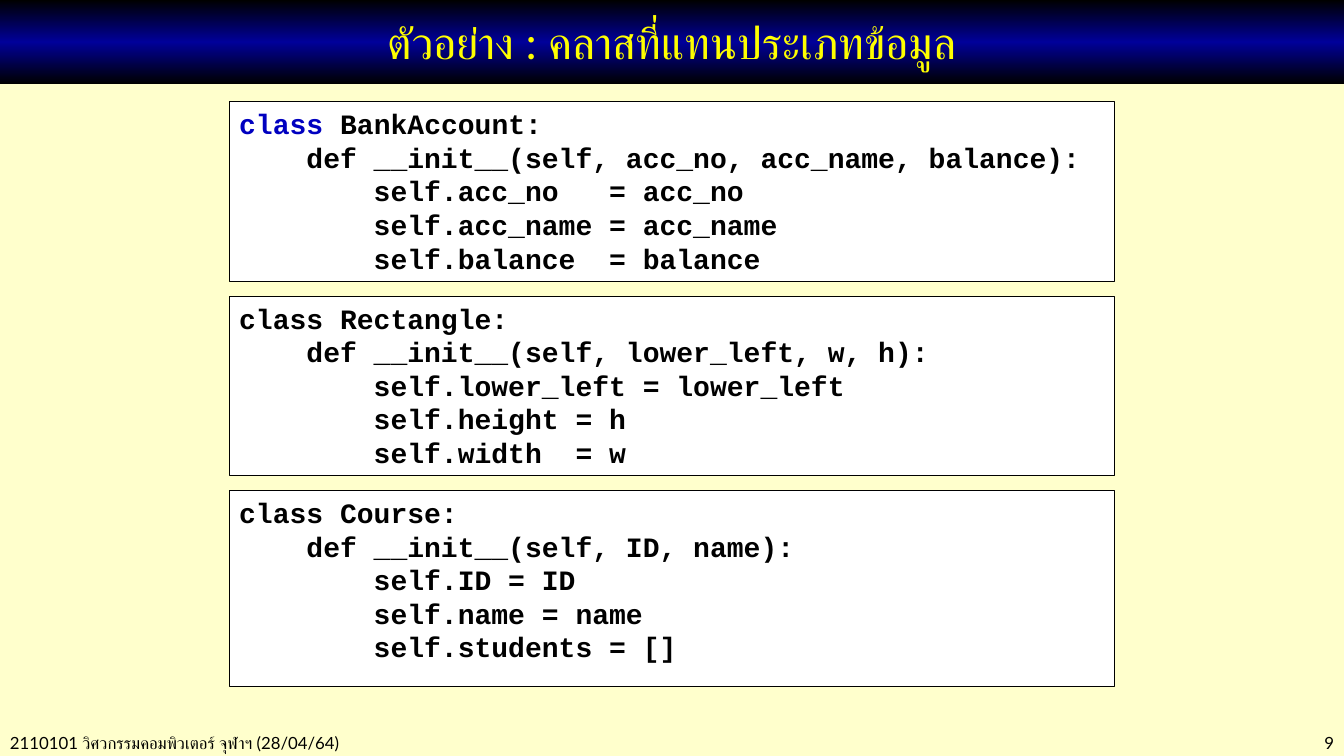
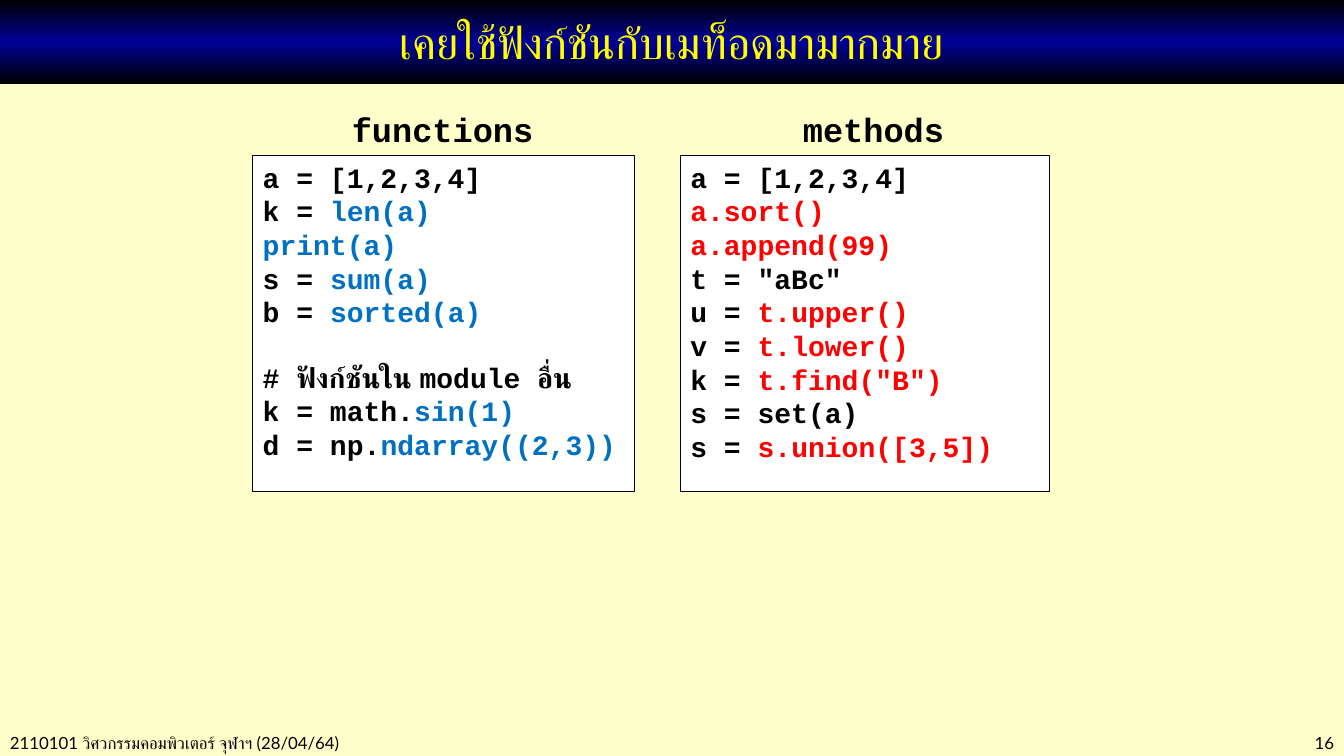
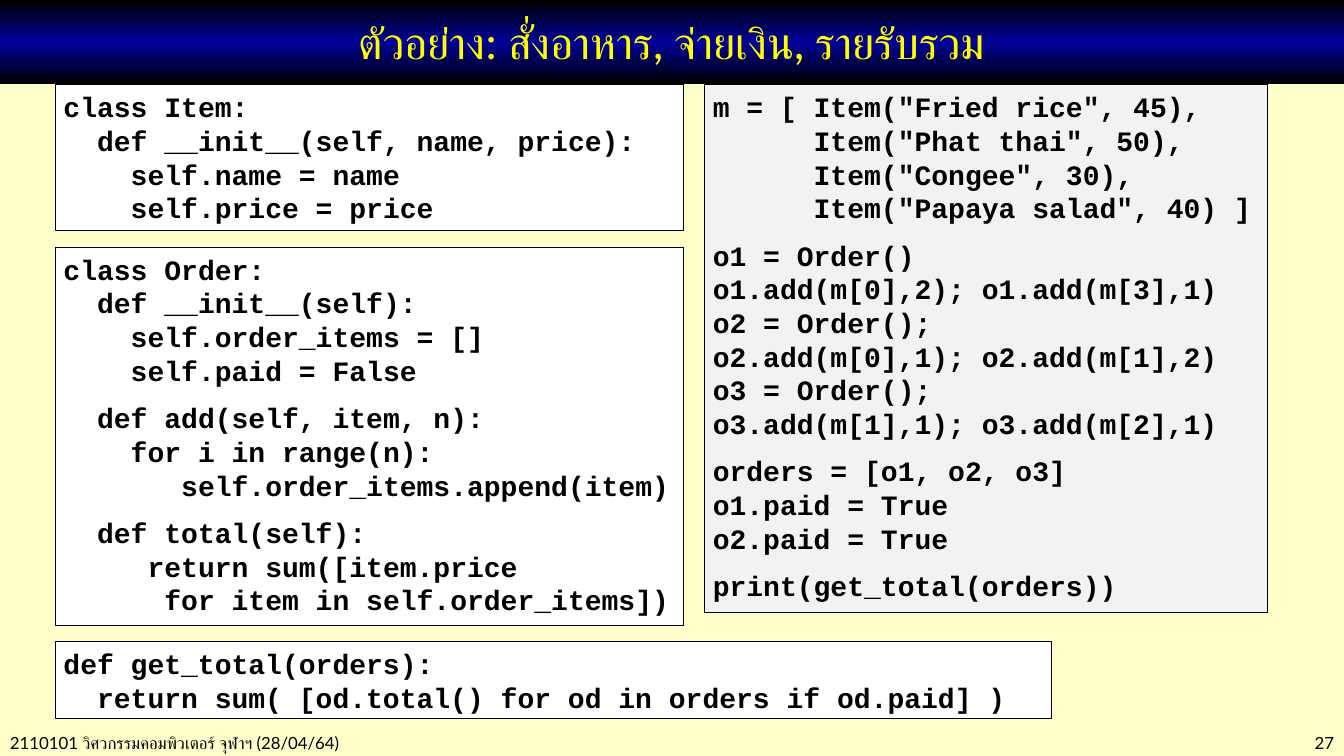
from copy import deepcopy
from dataclasses import dataclass

from pptx import Presentation
from pptx.dml.color import RGBColor
from pptx.enum.shapes import MSO_SHAPE as Preset
from pptx.enum.text import MSO_ANCHOR as Anchor, PP_ALIGN as Align
from pptx.oxml.ns import qn
from pptx.util import Inches, Pt

COLUMNS, ROWS = 160, 90
CELL = 1 / 12

BLACK, WHITE, GREY = "000000", "FFFFFF", "F2F2F2"
CREAM, NAVY, YELLOW = "FFFFCC", "000099", "FFFF00"
KEYWORD, FUNCTION, METHOD = "0000C0", "0070C0", "FF0000"

TITLE = {"name": "Lato", "size": Pt(32)}
FOOTER = {"name": "Lato", "size": Pt(12)}
CODE = {"name": "Courier New", "size": Pt(20), "bold": True}
LABEL = {**CODE, "size": Pt(24)}

FOOTER_TEXT = "2110101 วิศวกรรมคอมพิวเตอร์ จุฬาฯ (28/04/64)"
WIDE_MARGINS = (0.1, 0.05, 0.1, 0.05)
CODE_MARGINS = (0.08, 0.05, 0, 0.05)

BANK_ACCOUNT = """\
|class |BankAccount:
    def __init__(self, acc_no, acc_name, balance):
        self.acc_no   = acc_no
        self.acc_name = acc_name
        self.balance  = balance"""

RECTANGLE = """\
class Rectangle:
    def __init__(self, lower_left, w, h):
        self.lower_left = lower_left
        self.height = h
        self.width  = w"""

COURSE = """\
class Course:
    def __init__(self, ID, name):
        self.ID = ID
        self.name = name
        self.students = []"""

FUNCTIONS = """\
a = [1,2,3,4]
k = |len(a)
|print(a)
s = |sum(a)
b = |sorted(a)

# ฟังก์ชันใน module อื่น
k = math.|sin(1)
d = np.|ndarray((2,3))"""

METHODS = """\
a = [1,2,3,4]
|a.sort()
|a.append(99)
t = "aBc"
u = |t.upper()
v = |t.lower()
k = |t.find("B")
s = set(a)
s = |s.union([3,5])"""

ITEM = """\
class Item:
  def __init__(self, name, price):
    self.name = name
    self.price = price"""

ORDER = """\
class Order:
  def __init__(self):
    self.order_items = []
    self.paid = False

  def add(self, item, n):
    for i in range(n):
       self.order_items.append(item)

  def total(self):
     return sum([item.price
      for item in self.order_items])"""

GET_TOTAL = """\
def get_total(orders):
  return sum( [od.total() for od in orders if od.paid] )"""

MAIN_PROGRAM = """\
m = [ Item("Fried rice", 45),
      Item("Phat thai", 50),
      Item("Congee", 30),
      Item("Papaya salad", 40) ]

o1 = Order()
o1.add(m[0],2); o1.add(m[3],1)
o2 = Order();
o2.add(m[0],1); o2.add(m[1],2)
o3 = Order();
o3.add(m[1],1); o3.add(m[2],1)

orders = [o1, o2, o3]
o1.paid = True
o2.paid = True

print(get_total(orders))"""


@dataclass(frozen=True)
class Area:
    left: float
    top: float
    width: float
    height: float

    def lengths(self) -> list:
        return [Inches(n * CELL) for n in (self.left, self.top, self.width, self.height)]


@dataclass(frozen=True)
class Listing:
    code: str
    width: float
    height: float
    accent: str = BLACK
    fill: str = WHITE
    margins: tuple = WIDE_MARGINS
    gap: float = 10


def color(value: str) -> RGBColor:
    return RGBColor.from_string(value)


def apply(target, values: dict) -> None:
    for name, value in values.items():
        setattr(target, name, value)


def write(shape, text: str, style: dict, ink: str = BLACK, accent: str = BLACK,
          align=Align.LEFT, anchor=Anchor.TOP, margins=WIDE_MARGINS,
          wrap: bool = True, gap: float = 10) -> None:
    frame = shape.text_frame
    sides = ("margin_left", "margin_top", "margin_right", "margin_bottom")
    apply(frame, {"word_wrap": wrap, "vertical_anchor": anchor})
    apply(frame, dict(zip(sides, map(Inches, margins))))
    para, after_gap = None, False
    for line in text.split("\n"):
        if not line:
            after_gap = True
            continue
        para = frame.add_paragraph() if para else frame.paragraphs[0]
        para.alignment = align
        if after_gap:
            para.space_before = Pt(gap)
        after_gap = False
        for index, part in enumerate(line.split("|")):
            if part:
                span = para.add_run()
                span.text = part
                apply(span.font, style)
                span.font.color.rgb = color(accent if index % 2 else ink)


def add_rectangle(page, area: Area):
    shape = page.shapes.add_shape(Preset.RECTANGLE, *area.lengths())
    shape.shadow.inherit = False
    return shape


def add_title(page, text: str) -> None:
    band = add_rectangle(page, Area(0, 0, COLUMNS, 10))
    band.line.fill.background()
    band.fill.gradient()
    band.fill.gradient_angle = 90
    stop_list = band.fill.gradient_stops[0]._gs.getparent()
    stop_list.append(deepcopy(stop_list.findall(qn("a:gs"))[-1]))
    for stop, place, ink in zip(band.fill.gradient_stops, (0, 0.5, 1), (BLACK, NAVY, BLACK)):
        stop.position = place
        stop.color.rgb = color(ink)
    write(band, text, TITLE, YELLOW, align=Align.CENTER, anchor=Anchor.MIDDLE)


def add_text(page, area: Area, text: str, style: dict, **options) -> None:
    write(page.shapes.add_textbox(*area.lengths()), text, style, **options)


def add_listing(page, left: float, top: float, item: Listing) -> None:
    box = add_rectangle(page, Area(left, top, item.width, item.height))
    box.fill.solid()
    box.fill.fore_color.rgb = color(item.fill)
    box.line.color.rgb = color(BLACK)
    box.line.width = Pt(0.75)
    write(box, item.code, CODE, accent=item.accent, margins=item.margins, gap=item.gap)


def add_stack(page, left: float, top: float, space: float, items: list[Listing]) -> None:
    for item in items:
        add_listing(page, left, top, item)
        top += item.height + space


def add_page(deck, title: str, number: int):
    page = deck.slides.add_slide(deck.slide_layouts[6])
    add_text(page, Area(0, 86.6, 62.4, 3.6), FOOTER_TEXT, FOOTER)
    add_text(page, Area(COLUMNS - 22, 86.6, 22, 3.6), str(number), FOOTER, align=Align.RIGHT)
    add_title(page, title)
    return page


def build_data_classes(deck) -> None:
    page = add_page(deck, "ตัวอย่าง : คลาสที่แทนประเภทข้อมูล", 9)
    width = 105.4
    add_stack(page, (COLUMNS - width) / 2, 12.1, 1.75, [
        Listing(BANK_ACCOUNT, width, 21.4, KEYWORD),
        Listing(RECTANGLE, width, 21.4),
        Listing(COURSE, width, 23.3),
    ])


def build_functions_and_methods(deck) -> None:
    page = add_page(deck, "เคยใช้ฟังก์ชันกับเมท็อดมามากมาย", 16)
    add_listing(page, 30.1, 18.5, Listing(FUNCTIONS, 45.4, 40, FUNCTION, gap=22.65))
    add_listing(page, 81, 18.5, Listing(METHODS, 44, 40, METHOD))
    for text, left, width in (("functions", 40.7, 24.2), ("methods", 94.4, 19.3)):
        add_text(page, Area(left, 12.4, width, 6), text, LABEL, wrap=False)


def build_food_orders(deck) -> None:
    page = add_page(deck, "ตัวอย่าง: สั่งอาหาร, จ่ายเงิน, รายรับรวม", 27)
    top = 10.1
    add_stack(page, 6.6, top, 1.95, [
        Listing(ITEM, 74.8, 17.4, margins=CODE_MARGINS),
        Listing(ORDER, 74.8, 45, margins=CODE_MARGINS),
        Listing(GET_TOTAL, 118.6, 9.2, margins=CODE_MARGINS),
    ])
    add_listing(page, 83.9, top, Listing(MAIN_PROGRAM, 67, 62.8, fill=GREY, margins=CODE_MARGINS))


def main() -> None:
    deck = Presentation()
    deck.slide_width = Inches(COLUMNS * CELL)
    deck.slide_height = Inches(ROWS * CELL)
    backdrop = deck.slide_master.background.fill
    backdrop.solid()
    backdrop.fore_color.rgb = color(CREAM)
    build_data_classes(deck)
    build_functions_and_methods(deck)
    build_food_orders(deck)
    deck.save("out.pptx")


if __name__ == "__main__":
    main()
